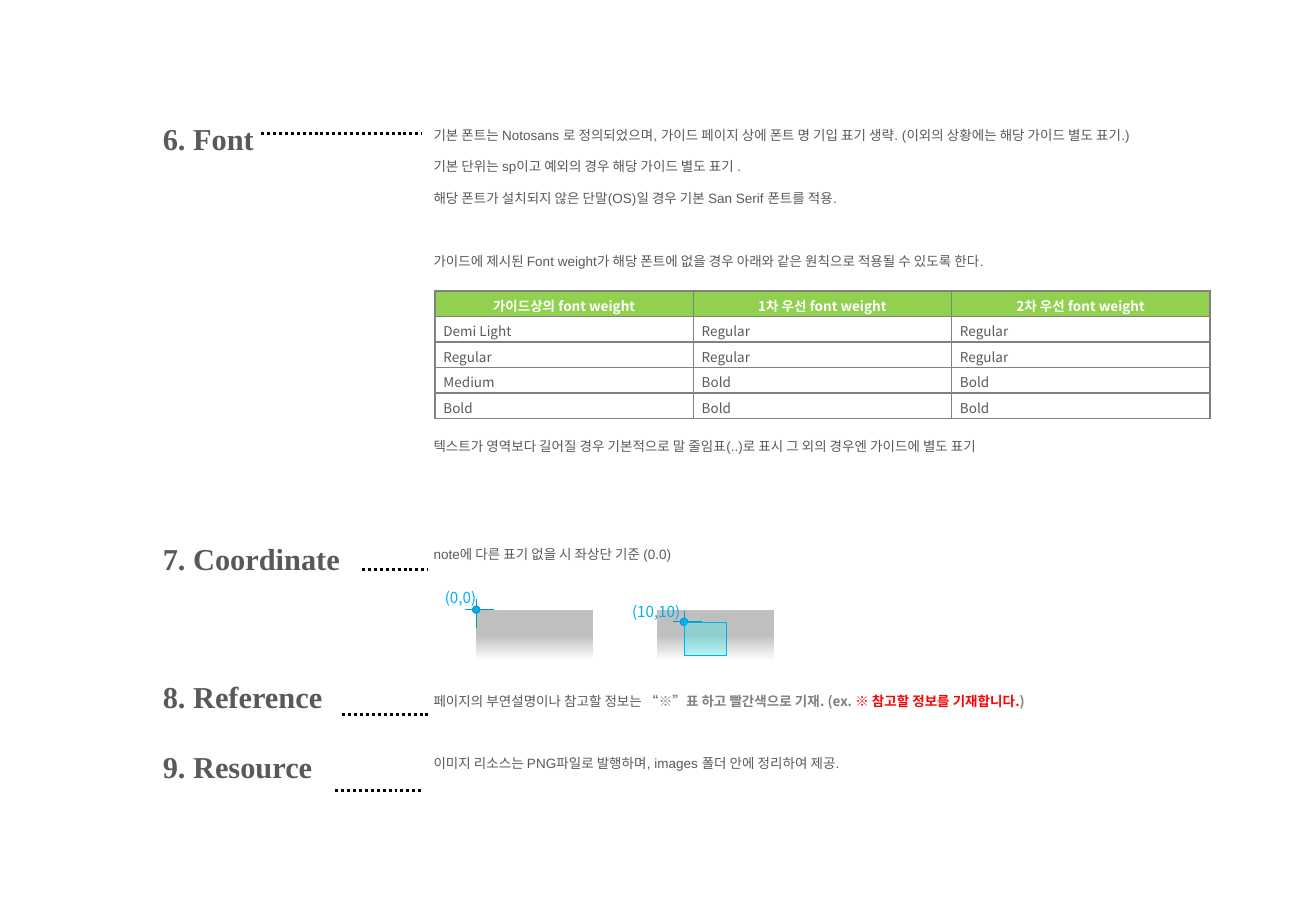
from dataclasses import dataclass

from lxml import etree
from pptx import Presentation
from pptx.dml.color import RGBColor
from pptx.enum.dml import MSO_LINE
from pptx.enum.shapes import MSO_CONNECTOR, MSO_SHAPE
from pptx.enum.text import MSO_ANCHOR, PP_ALIGN
from pptx.oxml import parse_xml
from pptx.oxml.ns import nsdecls, qn
from pptx.util import Pt

STRAIGHT = MSO_CONNECTOR.STRAIGHT
RECTANGLE, OVAL = MSO_SHAPE.RECTANGLE, MSO_SHAPE.OVAL
MIDDLE = MSO_ANCHOR.MIDDLE
LEFT, CENTER, RIGHT = PP_ALIGN.LEFT, PP_ALIGN.CENTER, PP_ALIGN.RIGHT
DOTTED = MSO_LINE.ROUND_DOT


@dataclass(frozen=True)
class Theme:
    heading_font: str = "Times New Roman"
    body_font: str = "Arial"
    korean_font: str = "Noto Sans CJK KR"
    heading_size: float = 18
    body_size: float = 8
    label_size: float = 9
    ink: str = "595959"
    muted: str = "808080"
    alert: str = "FF0000"
    black: str = "000000"
    white: str = "FFFFFF"
    header: str = "92D050"
    screen: str = "BFBFBF"
    point: str = "00B0F0"
    axis: str = "0097CC"
    area: str = "00FFFF"
    area_edge: str = "00AEEF"


THEME = Theme()


@dataclass(frozen=True)
class Run:
    text: str
    font: str = THEME.body_font
    size: float = THEME.body_size
    color: str = THEME.ink
    bold: bool = False


@dataclass(frozen=True)
class Section:
    title: str
    title_y: float
    leader_start: float
    leader_end: float
    leader_y: float


@dataclass(frozen=True)
class Note:
    center_y: float
    paragraphs: list[list[Run]]
    gaps: tuple[float, ...] = (0,)


@dataclass(frozen=True)
class Marker:
    label: str
    screen_x: float
    x: float
    y: float
    label_right: float
    label_y: float
    has_area: bool = False


SECTIONS = [
    Section("6. Font", 81.8, 154.8, 249.8, 79.2),
    Section("7. Coordinate", 330.7, 214.6, 253.4, 337.7),
    Section("8. Reference", 413, 203, 253.4, 423.4),
    Section("9. Resource", 454.5, 198.7, 249.8, 468.7),
]
LINE_GAP = 9.2
NOTES = [
    Note(117.3, [
        [Run("기본 폰트는 Notosans 로 정의되었으며, 가이드 페이지 상에 폰트 명 기입 표기 생략. (이외의 상황에는 해당 가이드 별도 표기.)")],
        [Run("기본 단위는 sp이고 예외의 경우 해당 가이드 별도 표기 .")],
        [Run("해당 폰트가 설치되지 않은 단말(OS)일 경우 기본 San Serif 폰트를 적용.")],
        [Run("가이드에 제시된 Font weight가 해당 폰트에 없을 경우 아래와 같은 원칙으로 적용될 수 있도록 한다.")],
    ], (0, LINE_GAP, LINE_GAP, 3 * LINE_GAP)),
    Note(264.3, [[Run("텍스트가 영역보다 길어질 경우 기본적으로 말 줄임표(..)로 표시 그 외의 경우엔 가이드에 별도 표기")]]),
    Note(328.3, [[Run("note에 다른 표기 없을 시 좌상단 기준 (0.0)")]]),
    Note(415.4, [[
        Run("페이지의 부연설명이나 참고할 정보는 “"),
        Run("※”표 하고 빨간색으로 기재. (ex. ", THEME.korean_font, color=THEME.muted, bold=True),
        Run("※ 참고할 정보를 기재합니다.", THEME.korean_font, color=THEME.alert, bold=True),
        Run(")", THEME.korean_font, color=THEME.muted, bold=True),
    ]]),
    Note(452.1, [[Run("이미지 리소스는 PNG파일로 발행하며, images 폴더 안에 정리하여 제공.")]]),
]
WEIGHTS = [
    ["가이드상의 font weight", "1차 우선 font weight", "2차 우선 font weight"],
    ["Demi Light", "Regular", "Regular"],
    ["Regular", "Regular", "Regular"],
    ["Medium", "Bold", "Bold"],
    ["Bold", "Bold", "Bold"],
]
SCREEN_Y = 361.4
MARKERS = [
    Marker("(0,0)", 282.2, 282.2, SCREEN_Y, 282.2, 353.9),
    Marker("(10,10)", 389.5, 405.4, 368.6, 403.2, 362.5, True),
]


def rgb(color: str) -> RGBColor:
    return RGBColor.from_string(color)


def write(paragraph, runs: list[Run], align=LEFT) -> None:
    paragraph.alignment = align
    for item in runs:
        run = paragraph.add_run()
        run.text = item.text
        run.font.name, run.font.size, run.font.bold = item.font, Pt(item.size), item.bold
        run.font.color.rgb = rgb(item.color)


def add_text(shapes, x: float, center_y: float, width: float, height: float,
             paragraphs: list[list[Run]], gaps: tuple[float, ...] = (0,), align=LEFT) -> None:
    """Place text without insets, centred vertically on center_y."""
    frame = shapes.add_textbox(Pt(x), Pt(center_y - height / 2), Pt(width), Pt(height)).text_frame
    frame.margin_left = frame.margin_right = frame.margin_top = frame.margin_bottom = 0
    frame.word_wrap, frame.vertical_anchor = True, MIDDLE
    for index, (runs, gap) in enumerate(zip(paragraphs, gaps)):
        paragraph = frame.add_paragraph() if index else frame.paragraphs[0]
        if gap:
            paragraph.space_before = Pt(gap)
        write(paragraph, runs, align)


def add_line(shapes, x1: float, y1: float, x2: float, y2: float, color: str, width: float):
    line = shapes.add_connector(STRAIGHT, Pt(x1), Pt(y1), Pt(x2), Pt(y2))
    line.line.color.rgb, line.line.width = rgb(color), Pt(width)
    etree.SubElement(line._element.spPr, qn("a:effectLst"))
    return line


def add_figure(shapes, kind, x: float, y: float, width: float, height: float):
    figure = shapes.add_shape(kind, Pt(x), Pt(y), Pt(width), Pt(height))
    figure.shadow.inherit = False
    return figure


def paint(figure, fill: str, edge: str, edge_width: float) -> None:
    figure.fill.solid()
    figure.fill.fore_color.rgb = rgb(fill)
    figure.line.color.rgb, figure.line.width = rgb(edge), Pt(edge_width)


def add_marker(slide, marker: Marker) -> None:
    """Draw a fading screen with a labelled coordinate point on it."""
    shapes = slide.shapes.add_group_shape().shapes
    screen = add_figure(shapes, RECTANGLE, marker.screen_x, SCREEN_Y, 69.4, 30.2)
    screen.line.fill.background()
    screen.fill.gradient()
    screen.fill.gradient_angle = 90
    for stop, color, position in zip(screen.fill.gradient_stops, (THEME.white, THEME.screen), (0, 0.5)):
        stop.color.rgb, stop.position = rgb(color), position
    label = Run(marker.label, THEME.korean_font, THEME.label_size, THEME.point)
    add_text(shapes, marker.label_right - 40, marker.label_y, 40, 10.8, [[label]], align=RIGHT)
    x, y, before, after, radius = marker.x, marker.y, 6.5, 10.8, 2.2
    add_line(shapes, x - before, y, x + after, y, THEME.axis, 0.5)
    add_line(shapes, x, y - before, x, y + after, THEME.axis, 0.5)
    dot = add_figure(shapes, OVAL, x - radius, y - radius, 2 * radius, 2 * radius)
    paint(dot, THEME.point, THEME.axis, 0.5)
    if marker.has_area:
        area = add_figure(shapes, RECTANGLE, x, y, 24.8, 19.6)
        paint(area, THEME.area, THEME.area_edge, 0.25)
        color = area._element.spPr.find(qn("a:solidFill"))[0]
        etree.SubElement(color, qn("a:alpha"), val="25000")


def add_borders(cell) -> None:
    properties = cell._tc.get_or_add_tcPr()
    for index, side in enumerate(("lnL", "lnR", "lnT", "lnB")):
        properties.insert(index, parse_xml(
            f'<a:{side} {nsdecls("a")} w="{Pt(1)}"><a:solidFill>'
            f'<a:srgbClr val="{THEME.muted}"/></a:solidFill></a:{side}>'))


def add_weight_table(slide) -> None:
    column_width, row_height = 153.1, 15.12
    table = slide.shapes.add_table(
        len(WEIGHTS), len(WEIGHTS[0]), Pt(257.8), Pt(172.6),
        Pt(column_width * len(WEIGHTS[0])), Pt(row_height * len(WEIGHTS))).table
    table.horz_banding = False
    for column in table.columns:
        column.width = Pt(column_width)
    for row_index, values in enumerate(WEIGHTS):
        table.rows[row_index].height = Pt(row_height)
        is_header = row_index == 0
        for column_index, value in enumerate(values):
            cell = table.cell(row_index, column_index)
            cell.margin_left = cell.margin_right = Pt(5)
            cell.margin_top, cell.margin_bottom = Pt(2.5), Pt(1)
            cell.vertical_anchor = MIDDLE
            cell.fill.solid()
            cell.fill.fore_color.rgb = rgb(THEME.header if is_header else THEME.white)
            color = THEME.white if is_header else THEME.ink
            write(cell.text_frame.paragraphs[0],
                  [Run(value, THEME.korean_font, color=color, bold=is_header)],
                  CENTER if is_header else LEFT)
            add_borders(cell)


def main() -> None:
    deck = Presentation()
    deck.slide_width, deck.slide_height = Pt(780), Pt(540)
    slide = deck.slides.add_slide(deck.slide_layouts[6])
    for note in NOTES:
        height = 18.4 * len(note.paragraphs)
        add_text(slide.shapes, 257, note.center_y, 462, height, note.paragraphs, note.gaps)
    for section in SECTIONS:
        title = Run(section.title, THEME.heading_font, THEME.heading_size, bold=True)
        add_text(slide.shapes, 96.5, section.title_y, 145, 24, [[title]])
        leader = add_line(slide.shapes, section.leader_start, section.leader_y,
                          section.leader_end, section.leader_y, THEME.black, 1.75)
        leader.line.dash_style = DOTTED
    for marker in MARKERS:
        add_marker(slide, marker)
    add_weight_table(slide)
    deck.save("out.pptx")


if __name__ == "__main__":
    main()
